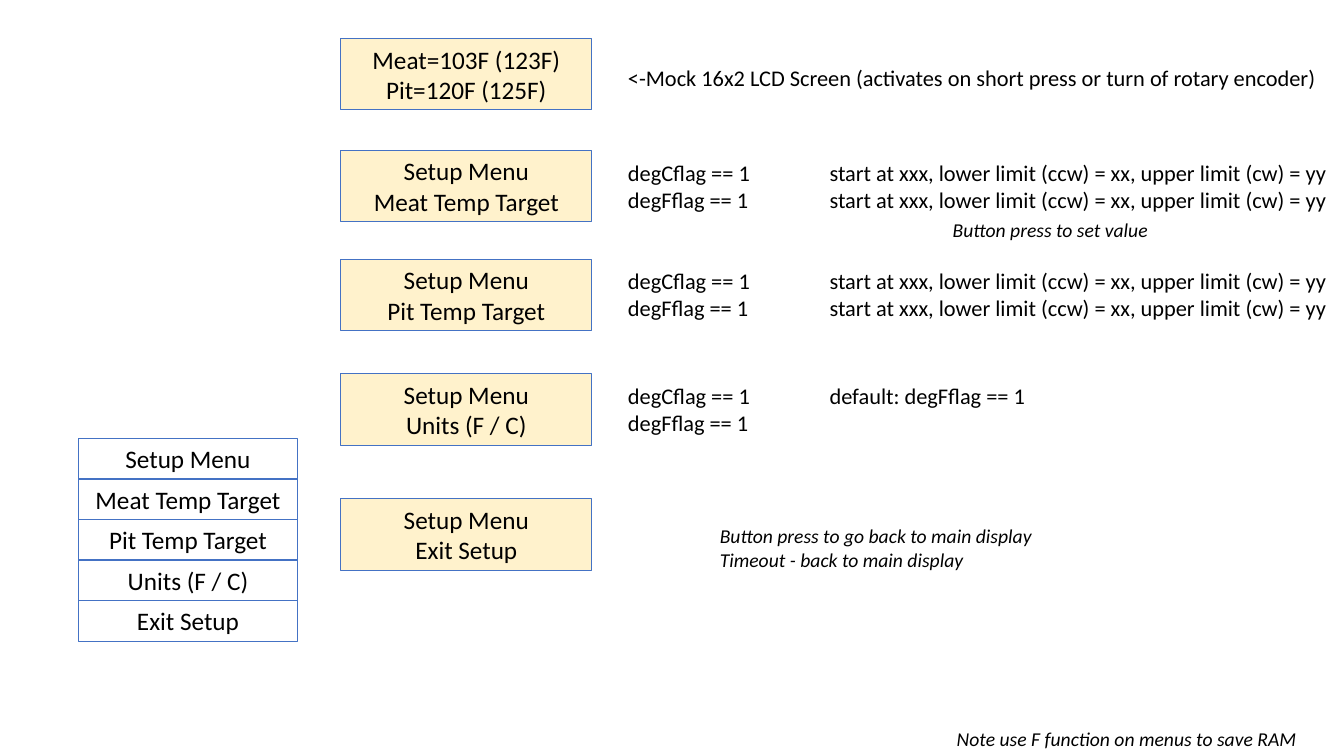
from lxml import etree
from pptx import Presentation
from pptx.dml.color import RGBColor
from pptx.enum.shapes import MSO_SHAPE
from pptx.enum.text import MSO_ANCHOR, PP_ALIGN
from pptx.oxml.ns import qn
from pptx.util import Inches, Pt

RECTANGLE = MSO_SHAPE.RECTANGLE
MIDDLE, TOP = MSO_ANCHOR.MIDDLE, MSO_ANCHOR.TOP
CENTER, LEFT = PP_ALIGN.CENTER, PP_ALIGN.LEFT

HEADING = "Setup Menu"
MENU_ITEMS = ["Meat Temp Target", "Pit Temp Target", "Units (F / C)", "Exit Setup"]
LIMITS = "start at xxx, lower limit (ccw) = xx, upper limit (cw) = yy"
LIMIT_LINES = [f"degCflag == 1\t{LIMITS}", f"degFflag == 1\t{LIMITS}"]

# Each display: top, lines
MAIN_DISPLAY = (0.38, ["Meat=103F (123F)", "Pit=120F (125F)"])
MENU_TOPS = [1.49, 2.57, 3.71, 4.95]
DISPLAYS = [MAIN_DISPLAY] + [
    (top, [HEADING, item]) for top, item in zip(MENU_TOPS, MENU_ITEMS)
]

# Each description: top, height, lines
DESCRIPTIONS = [
    (0.59, 0.37, ["<-Mock 16x2 LCD Screen (activates on short press or turn of rotary encoder)"]),
    (1.53, 0.64, LIMIT_LINES),
    (2.6, 0.64, LIMIT_LINES),
    (3.74, 0.64, ["degCflag == 1\tdefault: degFflag == 1", "degFflag == 1\t"]),
]

# Each remark: left, top, height, lines
REMARKS = [
    (9.35, 2.11, 0.34, ["Button press to set value"]),
    (7.04, 5.15, 0.57, ["Button press to go back to main display",
                        "Timeout - back to main display"]),
    (9.39, 7.16, 0.34, ["Note use F function on menus to save RAM"]),
]

THEME = {
    "screen": RGBColor(0xFF, 0xF2, 0xCC),
    "border": RGBColor(0x44, 0x72, 0xC4),
    "border_width": Pt(0.75),
    "box_font": {"name": "Calibri", "size": Pt(18)},
    "description_font": {"name": "Calibri", "size": Pt(16)},
    "remark_font": {"name": "Calibri", "size": Pt(14), "italic": True},
    "text": RGBColor(0, 0, 0),
}

DISPLAY_LEFT, DISPLAY_WIDTH, DISPLAY_HEIGHT = 3.38, 2.49, 0.71
LIST_LEFT, LIST_TOP, LIST_WIDTH, LIST_HEIGHT = 0.78, 4.35, 2.17, 2.01
DESCRIPTION_LEFT, DESCRIPTION_WIDTH = 6.13, 7.2
REMARK_WIDTH = 3.65
TAB_POSITION = 2


def add_tab_stop(paragraph):
    properties = paragraph._p.get_or_add_pPr()
    tab_list = etree.SubElement(properties, qn("a:tabLst"))
    etree.SubElement(tab_list, qn("a:tab"), pos=str(Inches(TAB_POSITION)), algn="l")


def write_lines(shape, lines, font_format, alignment, anchor):
    frame = shape.text_frame
    frame.word_wrap = True
    frame.vertical_anchor = anchor
    frame.text = "\n".join(lines)
    for paragraph in frame.paragraphs:
        paragraph.alignment = alignment
        if "\t" in paragraph.text:
            add_tab_stop(paragraph)
        for run in paragraph.runs:
            run.font.color.rgb = THEME["text"]
            for attribute, value in font_format.items():
                setattr(run.font, attribute, value)


def add_box(slide, bounds, lines, fill=None):
    shape = slide.shapes.add_shape(RECTANGLE, *map(Inches, bounds))
    shape.shadow.inherit = False
    if fill is None:
        shape.fill.background()
    else:
        shape.fill.solid()
        shape.fill.fore_color.rgb = fill
    shape.line.color.rgb = THEME["border"]
    shape.line.width = THEME["border_width"]
    write_lines(shape, lines, THEME["box_font"], CENTER, MIDDLE)


def add_text(slide, bounds, lines, font_format):
    shape = slide.shapes.add_textbox(*map(Inches, bounds))
    write_lines(shape, lines, font_format, LEFT, TOP)


def main():
    presentation = Presentation()
    presentation.slide_width = Inches(13.33)
    presentation.slide_height = Inches(7.5)
    blank_layout = presentation.slide_layouts[6]
    slide = presentation.slides.add_slide(blank_layout)

    for top, lines in DISPLAYS:
        bounds = (DISPLAY_LEFT, top, DISPLAY_WIDTH, DISPLAY_HEIGHT)
        add_box(slide, bounds, lines, THEME["screen"])

    labels = [HEADING] + MENU_ITEMS
    row_height = LIST_HEIGHT / len(labels)
    for row, label in enumerate(labels):
        top = LIST_TOP + row * row_height
        add_box(slide, (LIST_LEFT, top, LIST_WIDTH, row_height), [label])

    for top, height, lines in DESCRIPTIONS:
        bounds = (DESCRIPTION_LEFT, top, DESCRIPTION_WIDTH, height)
        add_text(slide, bounds, lines, THEME["description_font"])

    for left, top, height, lines in REMARKS:
        add_text(slide, (left, top, REMARK_WIDTH, height), lines, THEME["remark_font"])

    presentation.save("out.pptx")


if __name__ == "__main__":
    main()
